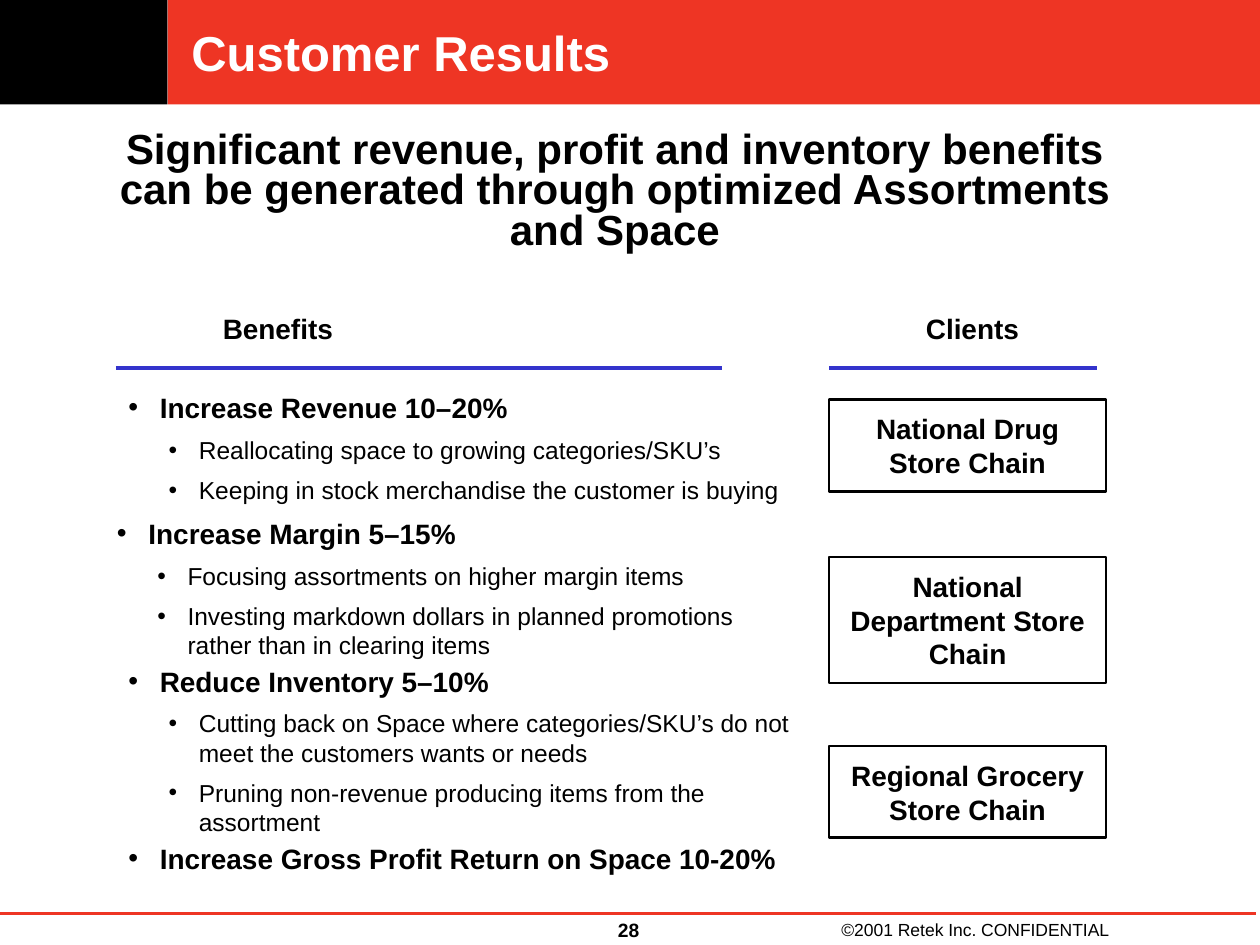
from dataclasses import dataclass

from lxml import etree
from pptx import Presentation
from pptx.dml.color import RGBColor
from pptx.enum.shapes import MSO_CONNECTOR as Connector, MSO_SHAPE as Shape
from pptx.enum.text import MSO_ANCHOR as Anchor, PP_ALIGN as Align
from pptx.oxml.ns import qn
from pptx.util import Inches, Pt


@dataclass(frozen=True)
class Theme:
    font: str = "Arial"
    red: RGBColor = RGBColor(0xEE, 0x35, 0x24)
    blue: RGBColor = RGBColor(0x33, 0x33, 0xCC)
    black: RGBColor = RGBColor(0, 0, 0)
    white: RGBColor = RGBColor(0xFF, 0xFF, 0xFF)
    title: float = 28
    headline: float = 24
    heading: float = 16
    detail: float = 14
    number: float = 11
    footer: float = 10


@dataclass(frozen=True)
class Box:
    left: float
    top: float
    width: float
    height: float

    def lengths(self):
        return [Inches(v) for v in (self.left, self.top, self.width, self.height)]


@dataclass(frozen=True)
class Benefit:
    box: Box
    heading: str
    details: tuple[str, ...] = ()


@dataclass(frozen=True)
class Client:
    top: float
    height: float
    name: str


@dataclass(frozen=True)
class Column:
    heading: str
    box: Box
    rule_start: float
    rule_end: float


T = Theme()

BENEFITS = (
    Benefit(Box(0.92, 3, 5.71, 1.1), "Increase Revenue 10–20%", (
        "Reallocating space to growing categories/SKU’s",
        "Keeping in stock merchandise the customer is buying")),
    Benefit(Box(0.83, 4, 5.42, 1.34), "Increase Margin 5–15%", (
        "Focusing assortments on higher margin items",
        "Investing markdown dollars in planned promotions rather than in clearing items")),
    Benefit(Box(0.92, 5.17, 5.5, 1.89), "Reduce Inventory 5–10%", (
        "Cutting back on Space where categories/SKU’s do not meet the customers wants or needs",
        "Pruning non-revenue producing items from the assortment")),
    Benefit(Box(0.92, 6.58, 5.67, 0.47), "Increase Gross Profit Return on Space 10-20%"),
)
CLIENTS = (
    Client(3.17, 0.73, "National Drug Store Chain"),
    Client(4.42, 1, "National Department Store Chain"),
    Client(5.92, 0.73, "Regional Grocery Store Chain"),
)
COLUMNS = (
    Column("Benefits", Box(1.67, 2.42, 1.2, 0.37), 0.92, 5.73),
    Column("Clients", Box(7.25, 2.42, 1.05, 0.37), 6.58, 8.71),
)


def set_frame(tf, *, inset=0.05, anchor=Anchor.TOP):
    tf.word_wrap = True
    tf.vertical_anchor = anchor
    tf.margin_left = tf.margin_right = Inches(0.1)
    tf.margin_top = tf.margin_bottom = Inches(inset)


def write(p, text: str, *, size: float, bold=True, color=T.black,
          align=Align.LEFT, spacing=None):
    p.alignment = align
    if spacing:
        p.line_spacing = spacing
    r = p.add_run()
    r.text = text
    r.font.name, r.font.size, r.font.bold = T.font, Pt(size), bold
    r.font.color.rgb = color


def add_text(s, box: Box, text: str, *, anchor=Anchor.TOP, **style):
    tf = s.shapes.add_textbox(*box.lengths()).text_frame
    set_frame(tf, anchor=anchor)
    write(tf.paragraphs[0], text, **style)


def add_rect(s, box: Box, *, fill=None, line=None):
    sp = s.shapes.add_shape(Shape.RECTANGLE, *box.lengths())
    sp.shadow.inherit = False
    if fill is None:
        sp.fill.background()
    else:
        sp.fill.solid()
        sp.fill.fore_color.rgb = fill
    if line is None:
        sp.line.fill.background()
    else:
        sp.line.color.rgb = line
        sp.line.width = Pt(1.5)
    return sp


def add_rule(s, start: float, end: float, y: float, color: RGBColor, width: float):
    line = s.shapes.add_connector(
        Connector.STRAIGHT, Inches(start), Inches(y), Inches(end), Inches(y))
    line.line.color.rgb = color
    line.line.width = Pt(width)
    etree.SubElement(line._element.spPr, qn("a:effectLst"))


def set_bullet(p, margin: float, hang: float):
    pPr = p._p.get_or_add_pPr()
    pPr.set("marL", str(Inches(margin)))
    pPr.set("indent", str(-Inches(hang)))
    etree.SubElement(pPr, qn("a:buFont")).set("typeface", T.font)
    etree.SubElement(pPr, qn("a:buChar")).set("char", "•")


def add_benefit(s, benefit: Benefit):
    tf = s.shapes.add_textbox(*benefit.box.lengths()).text_frame
    set_frame(tf, inset=0.1)
    p = tf.paragraphs[0]
    set_bullet(p, 0.25, 0.25)
    write(p, benefit.heading, size=T.heading)
    for detail in benefit.details:
        p = tf.add_paragraph()
        p.level = 1
        set_bullet(p, 0.56, 0.24)
        p.space_before = Pt(6.1)
        write(p, detail, size=T.detail, bold=False)


def add_client(s, client: Client):
    sp = add_rect(s, Box(6.58, client.top, 2.2, client.height), line=T.black)
    set_frame(sp.text_frame, inset=0.1)
    write(sp.text_frame.paragraphs[0], client.name, size=T.heading, align=Align.CENTER)


def main():
    prs = Presentation()
    prs.slide_width, prs.slide_height = Inches(10), Inches(7.5)
    s = prs.slides.add_slide(prs.slide_layouts[6])

    # Title band
    add_rect(s, Box(1.33, 0, 8.67, 0.83), fill=T.red)
    add_rect(s, Box(0, 0, 1.33, 0.83), fill=T.black)
    add_text(s, Box(1.42, 0, 6.42, 0.83), "Customer Results",
             size=T.title, color=T.white, anchor=Anchor.MIDDLE)

    # Headline
    add_text(s, Box(0.67, 1, 8.42, 1.06),
             "Significant revenue, profit and inventory benefits can be generated "
             "through optimized Assortments and Space",
             size=T.headline, align=Align.CENTER, spacing=0.8)

    # Column headings, benefits and clients
    for col in COLUMNS:
        add_text(s, col.box, col.heading, size=T.heading)
        add_rule(s, col.rule_start, col.rule_end, 2.92, T.blue, 2.25)
    for benefit in BENEFITS:
        add_benefit(s, benefit)
    for client in CLIENTS:
        add_client(s, client)

    # Footer
    add_rule(s, 0, 9.97, 7.25, T.red, 1.5)
    add_text(s, Box(4.28, 7.24, 1.42, 0.29), "28", size=T.number, align=Align.CENTER)
    add_text(s, Box(6.58, 7.25, 2.5, 0.25), "©2001 Retek Inc. CONFIDENTIAL",
             size=T.footer, bold=False, anchor=Anchor.MIDDLE)

    prs.save("out.pptx")


if __name__ == "__main__":
    main()
